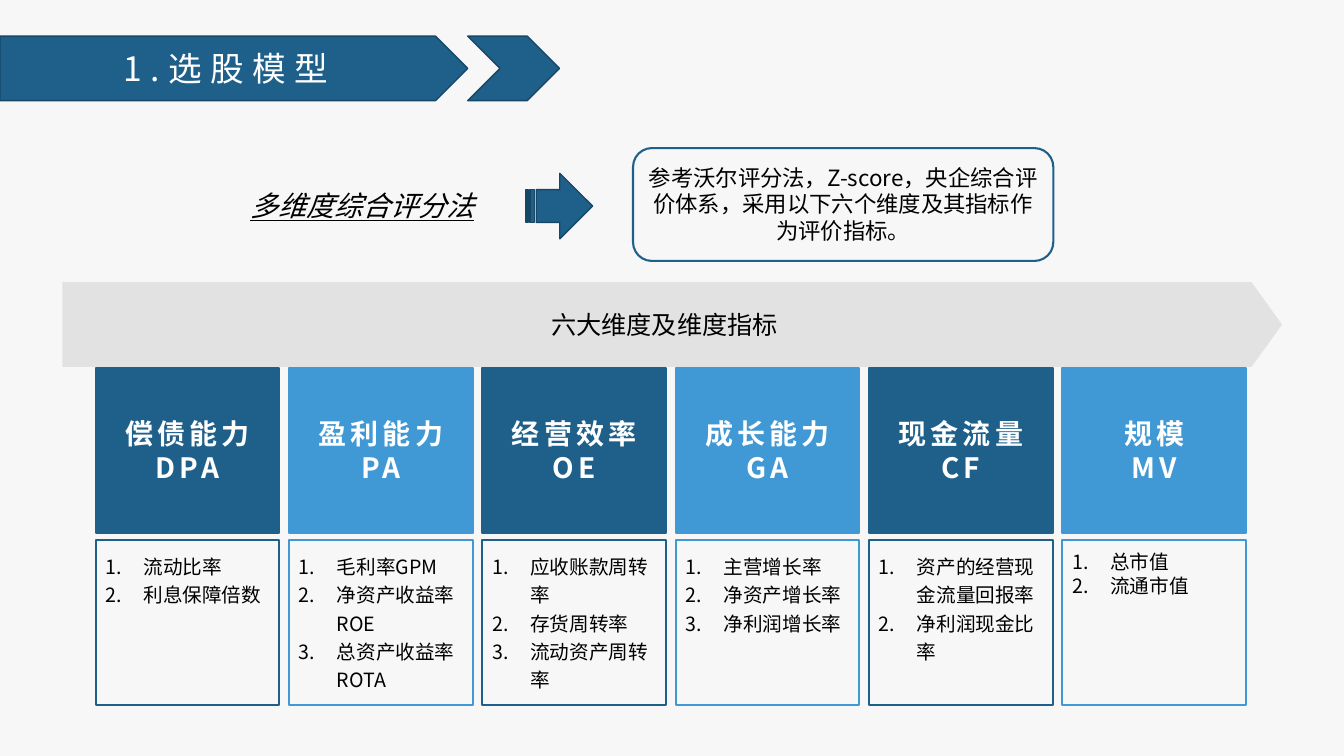
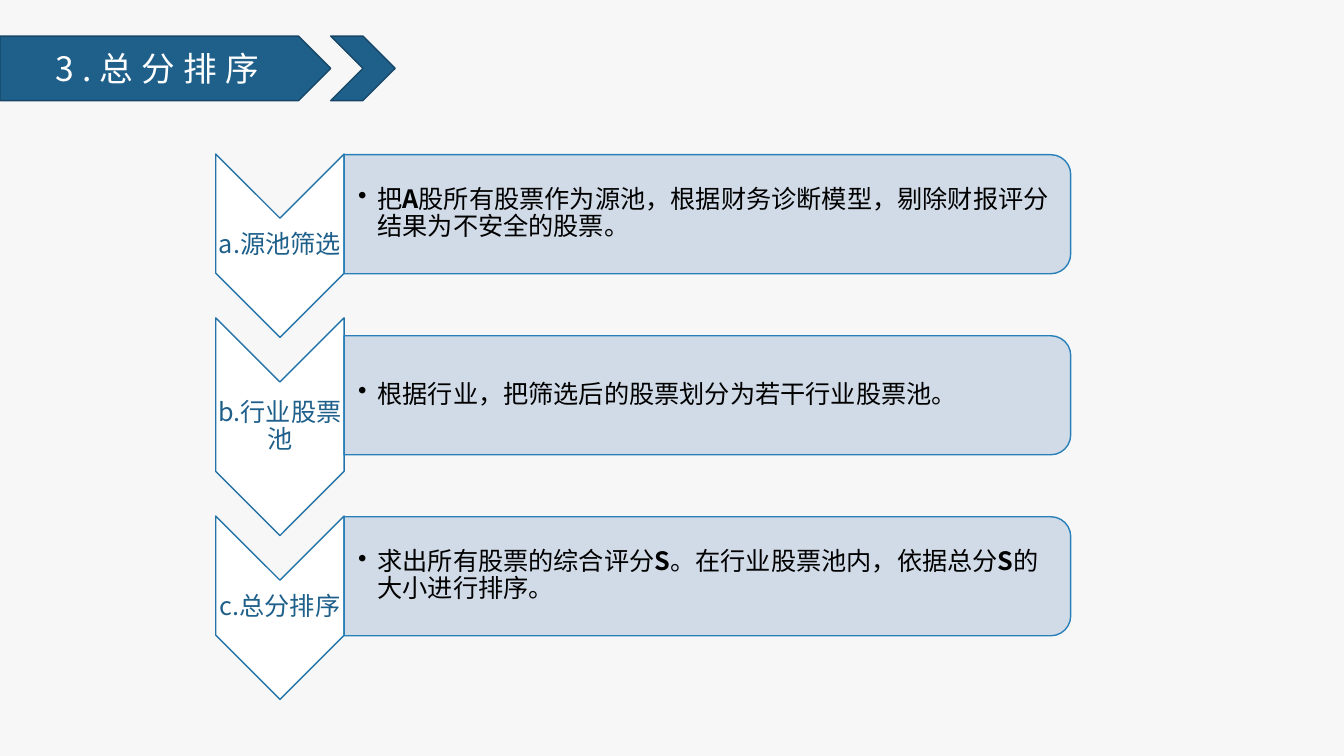
from lxml.etree import SubElement
from pptx import Presentation
from pptx.dml.color import RGBColor
from pptx.enum.shapes import MSO_SHAPE
from pptx.enum.text import MSO_ANCHOR, MSO_AUTO_SIZE, PP_ALIGN
from pptx.oxml.ns import qn
from pptx.util import Pt

FONT = "Noto Sans CJK SC"
MONO = "Noto Sans Mono"
BLUE, LIGHT_BLUE, DARK_EDGE = "1F608B", "4098D4", "174767"
BLACK, WHITE, PAGE = "000000", "FFFFFF", "F7F7F7"
LIST_INSETS = (7.2, 7.2, 7.2, 3.6)
CARD_INSETS = (3.6, 3.6, 3.6, 3.6)


def color(value):
    """Turn a hex string into a colour."""
    return RGBColor.from_string(value)


def add_block(slide, kind, box, fill=None, line=None, weight=1, opacity=None):
    """Add a flat preset shape in box (left, top, width, height)."""
    shape = slide.shapes.add_shape(kind, *map(Pt, box))
    shape.shadow.inherit = False
    if fill:
        shape.fill.solid()
        shape.fill.fore_color.rgb = color(fill)
    else:
        shape.fill.background()
    if opacity:
        solid = shape.element.spPr.find(qn("a:solidFill"))
        SubElement(solid[0], qn("a:alpha"), val=str(opacity * 1000))
    if line:
        shape.line.color.rgb = color(line)
        shape.line.width = Pt(weight)
    else:
        shape.line.fill.background()
    return shape


def add_bullet(paragraph, bullet, indent):
    """Give a paragraph a hanging bullet, or a number when bullet is '1.'."""
    properties = paragraph._p.get_or_add_pPr()
    properties.set("marL", str(Pt(indent)))
    properties.set("indent", str(-Pt(indent)))
    if bullet == "1.":
        SubElement(properties, qn("a:buAutoNum"), type="arabicPeriod")
    else:
        SubElement(properties, qn("a:buChar"), char=bullet)


def write(shape, lines, size, ink=BLACK, align=PP_ALIGN.CENTER,
          anchor=MSO_ANCHOR.MIDDLE, insets=(7.2, 3.6, 7.2, 3.6), spacing=None,
          tracking=0, bold=None, font=FONT, bullet=None, indent=0, wrap=True):
    """Write one paragraph per line; parts between asterisks are bold."""
    frame = shape.text_frame
    frame.word_wrap = wrap
    frame.auto_size = MSO_AUTO_SIZE.NONE
    frame.vertical_anchor = anchor
    (frame.margin_left, frame.margin_top,
     frame.margin_right, frame.margin_bottom) = map(Pt, insets)
    for index, line in enumerate(lines):
        paragraph = frame.add_paragraph() if index else frame.paragraphs[0]
        if bullet:
            add_bullet(paragraph, bullet, indent)
        paragraph.alignment = align
        if spacing:
            paragraph.line_spacing = spacing
        paragraph.font.name = font
        paragraph.font.size = Pt(size)
        paragraph.font.bold = bold
        paragraph.font.color.rgb = color(ink)
        defaults = paragraph._p.pPr.find(qn("a:defRPr"))
        defaults.set("spc", str(tracking * 100))
        SubElement(defaults, qn("a:ea"), typeface=FONT)
        for part, text in enumerate(line.split("*")):
            run = paragraph.add_run()
            run.text = text
            if part % 2:
                run.font.bold = True


def add_titled_slide(presentation, title, banner_width, chevron_width):
    """Add a slide with its title on a pentagon banner and a chevron after it."""
    slide = presentation.slides.add_slide(presentation.slide_layouts[5])
    top, height = 25.8, 46.1
    banner = add_block(slide, MSO_SHAPE.PENTAGON, (0, top, banner_width, height),
                       BLUE, DARK_EDGE)
    add_block(slide, MSO_SHAPE.CHEVRON, (banner_width, top, chevron_width, height),
              BLUE, DARK_EDGE)
    heading = slide.shapes.title
    heading.left, heading.top = Pt(0), Pt(top)
    heading.width, heading.height = Pt(banner_width - height / 4), Pt(height)
    write(heading, [title], 24, WHITE, tracking=6)
    banner.element.addnext(heading.element)
    return slide


def add_method(slide, box):
    """Place the method name, an arrow and the explanation in a row."""
    left, top, width, height = box
    name = slide.shapes.add_textbox(Pt(left), Pt(top + 21.5), Pt(176.4), Pt(33.8))
    write(name, ["多维度综合评分法"], 20, spacing=1.2, wrap=False)
    font = name.text_frame.paragraphs[0].font
    font.italic = font.underline = True
    add_block(slide, MSO_SHAPE.STRIPED_RIGHT_ARROW, (left + 205.2, top + 18, 47.5, 46.8),
              BLUE, DARK_EDGE)
    note_width = 300.2
    note = add_block(slide, MSO_SHAPE.ROUNDED_RECTANGLE,
                     (left + width - note_width, top, note_width, height),
                     line=BLUE, weight=1.5)
    write(note, ["参考沃尔评分法，Z-score，央企综合评价体系，采用以下六个维度及其指标作为评价指标。"],
          16, anchor=MSO_ANCHOR.TOP, insets=LIST_INSETS)


def add_dimensions(slide, box, dimensions):
    """Place the wide arrow and, below it, a card and a list per dimension."""
    left, top, width, height = box
    arrow_height, margin, pitch, card_width, card_height = 60.5, 23.8, 138.1, 131.2, 118
    arrow = add_block(slide, MSO_SHAPE.PENTAGON, (left, top, width, arrow_height),
                      "CCCCCC", opacity=48)
    arrow.adjustments[0] = 0.36
    write(arrow, ["六大维度及维度指标"], 18)
    for index, (name, code, font, spacing, indicators) in enumerate(dimensions):
        accent = LIGHT_BLUE if index % 2 else BLUE
        card_left = left + margin + index * pitch
        card = add_block(slide, MSO_SHAPE.RECTANGLE,
                         (card_left, top + arrow_height + 0.7, card_width, card_height),
                         accent, accent, 1.5)
        write(card, [name, code], 20, WHITE, insets=CARD_INSETS, tracking=3, bold=True)
        listing = add_block(slide, MSO_SHAPE.RECTANGLE,
                            (card_left, top + height - card_height, card_width, card_height),
                            line=accent, weight=1.5)
        write(listing, indicators, 14, align=PP_ALIGN.LEFT, anchor=MSO_ANCHOR.TOP,
              insets=LIST_INSETS, spacing=spacing, font=font, bullet="1.", indent=27)


def add_step(slide, left, middle, length, label, description):
    """Place a downward chevron centred on middle, and its bar to the right."""
    chevron_width, bar_width, bar_height = 91.7, 519, 85
    bar_middle = middle - 22.5
    bar_left = left + chevron_width
    chevron = add_block(slide, MSO_SHAPE.CHEVRON,
                        (left + (chevron_width - length) / 2, middle - chevron_width / 2,
                         length, chevron_width), WHITE, "2574A8")
    bar = add_block(slide, MSO_SHAPE.ROUND_2_SAME_RECTANGLE,
                    (bar_left + (bar_width - bar_height) / 2, bar_middle - bar_width / 2,
                     bar_height, bar_width), "CDD8E6", "2980B9", opacity=90)
    chevron.rotation = bar.rotation = 90
    caption = slide.shapes.add_textbox(Pt(left), Pt(middle - 20), Pt(chevron_width), Pt(40))
    write(caption, [label], 18, BLUE, insets=(0.7,) * 4, spacing=0.9)
    body = slide.shapes.add_textbox(Pt(bar_left), Pt(bar_middle - 38.5), Pt(514.8), Pt(77))
    write(body, [description], 18, align=PP_ALIGN.LEFT, insets=(10.1, 0.7, 0.7, 0.7),
          spacing=0.9, bullet="•", indent=13.7)


def build_model_slide(presentation):
    """Build the slide on the stock selection model."""
    slide = add_titled_slide(presentation, "1.选股模型", 334.1, 65.5)
    add_dimensions(slide, (44.6, 201.6, 871.2, 302.3), [
        ("偿债能力", "DPA", FONT, 1.2, ["流动比率", "利息保障倍数"]),
        ("盈利能力", "PA", FONT, 1.2, ["毛利率GPM", "净资产收益率ROE", "总资产收益率ROTA"]),
        ("经营效率", "OE", FONT, 1.2, ["应收账款周转率", "存货周转率", "流动资产周转率"]),
        ("成长能力", "GA", FONT, 1.2, ["主营增长率", "净资产增长率", "净利润增长率"]),
        ("现金流量", "CF", MONO, 1.2, ["资产的经营现金流量回报率", "净利润现金比率"]),
        ("规模", "MV", MONO, None, ["总市值", "流通市值"]),
    ])
    add_method(slide, (170.6, 105.8, 581.8, 80.6))


def build_ranking_slide(presentation):
    """Build the slide on ranking by total score."""
    slide = add_titled_slide(presentation, "3.总分排序", 236.2, 46.1)
    steps = [
        (131, "a.源池筛选", "把*A*股所有股票作为源池，根据财务诊断模型，剔除财报评分结果为不安全的股票。"),
        (155.5, "b.行业股票池", "根据行业，把筛选后的股票划分为若干行业股票池。"),
        (131, "c.总分排序", "求出所有股票的综合评分*S*。在行业股票池内，依据总分*S*的大小进行排序。"),
    ]
    for index, step in enumerate(steps):
        add_step(slide, 154.1, 175.5 + index * 129.3, *step)


presentation = Presentation()
presentation.slide_width, presentation.slide_height = Pt(960), Pt(540)
background = presentation.slide_master.background.fill
background.solid()
background.fore_color.rgb = color(PAGE)
build_model_slide(presentation)
build_ranking_slide(presentation)
presentation.save("out.pptx")
